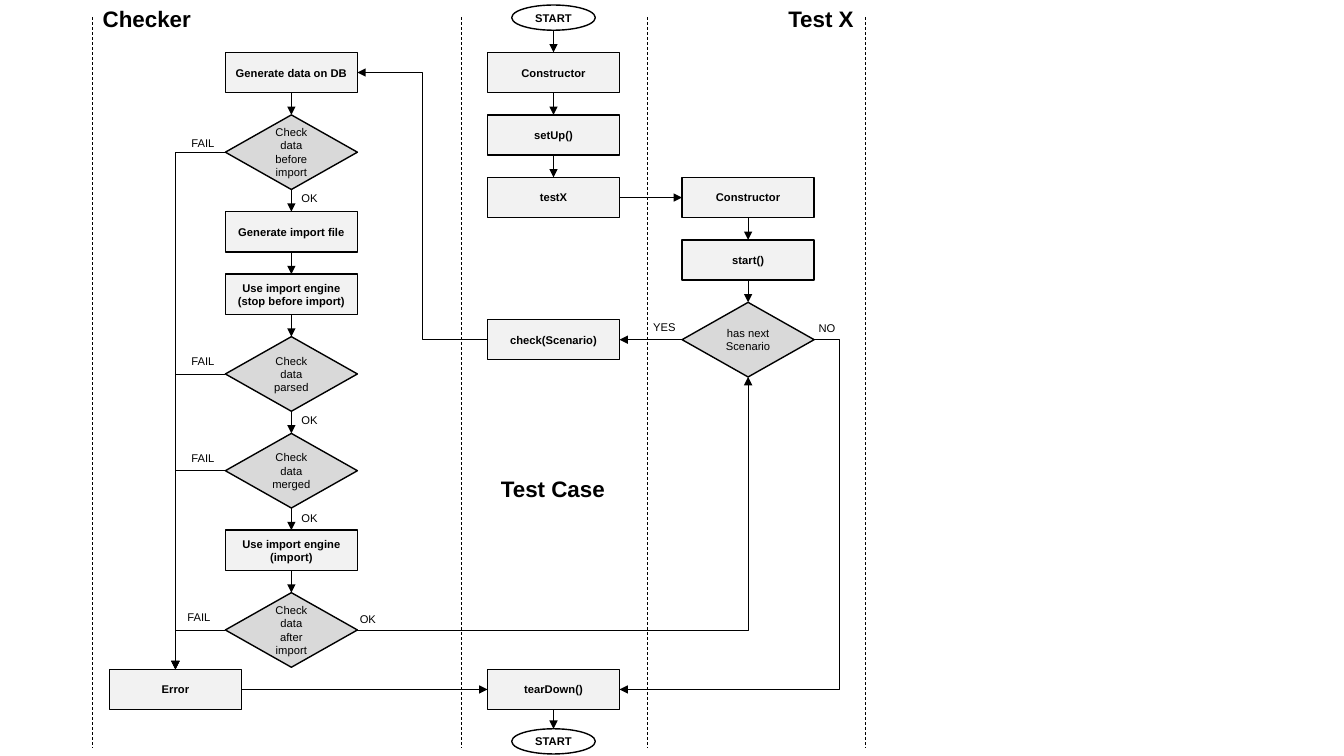
"""Build the test-run flowchart slide with its Checker, Test Case and Test X lanes."""
from dataclasses import dataclass
from typing import NamedTuple, Optional

from lxml.etree import SubElement
from pptx import Presentation
from pptx.dml.color import RGBColor
from pptx.enum.dml import MSO_LINE
from pptx.enum.shapes import MSO_CONNECTOR as Route, MSO_SHAPE as Preset
from pptx.enum.text import MSO_ANCHOR, MSO_AUTO_SIZE, PP_ALIGN
from pptx.oxml.ns import qn
from pptx.shapes.autoshape import Shape
from pptx.shapes.connector import Connector
from pptx.util import Inches, Pt


@dataclass(frozen=True)
class Theme:
    font: str = "Arial"
    ink: RGBColor = RGBColor(0, 0, 0)
    step_fill: RGBColor = RGBColor(0xF2, 0xF2, 0xF2)
    decision_fill: RGBColor = RGBColor(0xD9, 0xD9, 0xD9)
    terminal_fill: RGBColor = RGBColor(0xFF, 0xFF, 0xFF)
    body: Pt = Pt(8)
    heading: Pt = Pt(16)
    outline: Pt = Pt(1)
    flow: Pt = Pt(0.5)


class Kind(NamedTuple):
    preset: Preset
    width: float
    height: float
    fill: RGBColor
    bold: bool = True
    inset: float = 0.1


class Node(NamedTuple):
    key: str
    text: str
    kind: Kind


class Column(NamedTuple):
    center: float
    top: float
    nodes: list[Node]


class Flow(NamedTuple):
    source: str
    source_side: str
    target: str
    target_side: str
    preset: Optional[str] = None
    bend: Optional[int] = None


class Label(NamedTuple):
    text: str
    left: float
    top: float
    width: float


theme = Theme()
STEP = Kind(Preset.RECTANGLE, 1.31, 0.4, theme.step_fill)
DECISION = Kind(Preset.FLOWCHART_DECISION, 1.31, 0.74, theme.decision_fill, False, 0.05)
TERMINAL = Kind(Preset.OVAL, 0.83, 0.25, theme.terminal_fill)
GAP = 0.22
CHECKER, TEST_CASE, TEST_X, ERROR = 2.89, 5.49, 7.42, 1.74
SIDES = ("top", "left", "bottom", "right")

COLUMNS = [
    Column(TEST_CASE, 0.05, [
        Node("start", "START", TERMINAL),
        Node("case", "Constructor", STEP),
        Node("setup", "setUp()", STEP),
        Node("test", "testX", STEP),
    ]),
    Column(TEST_X, 1.76, [
        Node("scenarios", "Constructor", STEP),
        Node("run", "start()", STEP),
        Node("next", "has next\nScenario", DECISION),
    ]),
    Column(CHECKER, 0.52, [
        Node("generate", "Generate data on DB", STEP),
        Node("before", "Check data before import", DECISION),
        Node("file", "Generate import file", STEP),
        Node("stop", "Use import engine (stop before import)", STEP),
        Node("parsed", "Check data parsed", DECISION),
        Node("merged", "Check data merged", DECISION),
        Node("import", "Use import engine (import)", STEP),
        Node("after", "Check data\nafter import", DECISION),
    ]),
    Column(TEST_CASE, 3.17, [Node("check", "check(Scenario)", STEP)]),
    Column(TEST_CASE, 6.64, [Node("teardown", "tearDown()", STEP)]),
    Column(TEST_CASE, 7.23, [Node("end", "START", TERMINAL)]),
    Column(ERROR, 6.64, [Node("error", "Error", STEP)]),
]

FLOWS = [
    Flow(upper.key, "bottom", lower.key, "top")
    for column in COLUMNS
    for upper, lower in zip(column.nodes, column.nodes[1:])
] + [
    Flow(failed, "left", "error", "top", "bentConnector2")
    for failed in ("before", "parsed", "merged", "after")
] + [
    Flow("test", "right", "scenarios", "left"),
    Flow("next", "left", "check", "right"),
    Flow("check", "left", "generate", "right", "bentConnector3", 50000),
    Flow("after", "right", "next", "bottom", "bentConnector2"),
    Flow("next", "right", "teardown", "right", "bentConnector3", -13000),
    Flow("error", "right", "teardown", "left"),
    Flow("teardown", "bottom", "end", "top"),
]

HEADINGS = [
    Label("Checker", 0.92, 0, 1.09),
    Label("Test X", 7.72, 0, 0.86),
    Label("Test Case", 4.87, 4.66, 1.24),
]
ANSWERS = [
    *(Label("OK", CHECKER, top, 0.36) for top in (1.85, 4.05, 5.02)),
    *(Label("FAIL", 1.8, top, 0.44) for top in (1.3, 3.47, 4.43)),
    Label("FAIL", 1.76, 6.01, 0.44),
    Label("OK", 3.47, 6.03, 0.36),
    Label("YES", 6.38, 3.13, 0.43),
    Label("NO", 8.02, 3.14, 0.37),
]
LANE_EDGES = (0.92, 4.58, 6.42, 8.58)


def write(shape: Shape, text: str, size: Pt, bold: bool, align: PP_ALIGN) -> None:
    shape.text_frame.text = text
    for paragraph in shape.text_frame.paragraphs:
        paragraph.alignment = align
        for run in paragraph.runs:
            run.font.name, run.font.size, run.font.bold = theme.font, size, bold
            run.font.color.rgb = theme.ink


def draw_node(shapes, node: Node, center: float, top: float) -> Shape:
    kind = node.kind
    shape = shapes.add_shape(kind.preset, Inches(center - kind.width / 2), Inches(top),
                             Inches(kind.width), Inches(kind.height))
    shape.shadow.inherit = False
    shape.fill.solid()
    shape.fill.fore_color.rgb = kind.fill
    shape.line.color.rgb = theme.ink
    shape.line.width = theme.outline
    frame = shape.text_frame
    frame.word_wrap = True
    frame.vertical_anchor = MSO_ANCHOR.MIDDLE
    frame.margin_left = frame.margin_right = Inches(kind.inset)
    frame.margin_top = frame.margin_bottom = Inches(0.05)
    write(shape, node.text, theme.body, kind.bold, PP_ALIGN.CENTER)
    return shape


def style_line(line: Connector) -> None:
    line.line.color.rgb = theme.ink
    line.line.width = theme.flow
    SubElement(line._element.spPr, qn("a:effectLst"))


def draw_flow(shapes, flow: Flow, nodes: dict[str, Node], drawn: dict[str, Shape]) -> None:
    route = Route.ELBOW if flow.preset else Route.STRAIGHT
    arrow = shapes.add_connector(route, 0, 0, 0, 0)
    arrow.begin_connect(drawn[flow.source], SIDES.index(flow.source_side))
    arrow.end_connect(drawn[flow.target], SIDES.index(flow.target_side))
    if nodes[flow.source].kind is TERMINAL:
        oval_site = 2 * SIDES.index(flow.source_side)
        arrow._element.find(".//" + qn("a:stCxn")).set("idx", str(oval_site))
    style_line(arrow)
    SubElement(arrow.line._get_or_add_ln(), qn("a:tailEnd"), type="triangle")
    if flow.preset:
        geometry = arrow._element.spPr.find(qn("a:prstGeom"))
        geometry.set("prst", flow.preset)
        if flow.bend is not None:
            SubElement(geometry.find(qn("a:avLst")), qn("a:gd"), name="adj1", fmla=f"val {flow.bend}")


def draw_label(shapes, label: Label, height: float, size: Pt, bold: bool) -> None:
    box = shapes.add_textbox(Inches(label.left), Inches(label.top), Inches(label.width), Inches(height))
    box.text_frame.word_wrap = False
    box.text_frame.auto_size = MSO_AUTO_SIZE.SHAPE_TO_FIT_TEXT
    write(box, label.text, size, bold, PP_ALIGN.LEFT)


def main() -> None:
    deck = Presentation()
    deck.slide_width, deck.slide_height = Inches(13.33), Inches(7.5)
    shapes = deck.slides.add_slide(deck.slide_layouts[6]).shapes
    nodes: dict[str, Node] = {}
    drawn: dict[str, Shape] = {}
    for column in COLUMNS:
        top = column.top
        for node in column.nodes:
            nodes[node.key] = node
            drawn[node.key] = draw_node(shapes, node, column.center, top)
            top += node.kind.height + GAP
    for flow in FLOWS:
        draw_flow(shapes, flow, nodes, drawn)
    for edge in LANE_EDGES:
        lane = shapes.add_connector(Route.STRAIGHT, Inches(edge), Inches(0.17), Inches(edge), Inches(7.42))
        style_line(lane)
        lane.line.dash_style = MSO_LINE.DASH
    for heading in HEADINGS:
        draw_label(shapes, heading, 0.37, theme.heading, True)
    for answer in ANSWERS:
        draw_label(shapes, answer, 0.24, theme.body, False)
    deck.save("out.pptx")


main()
